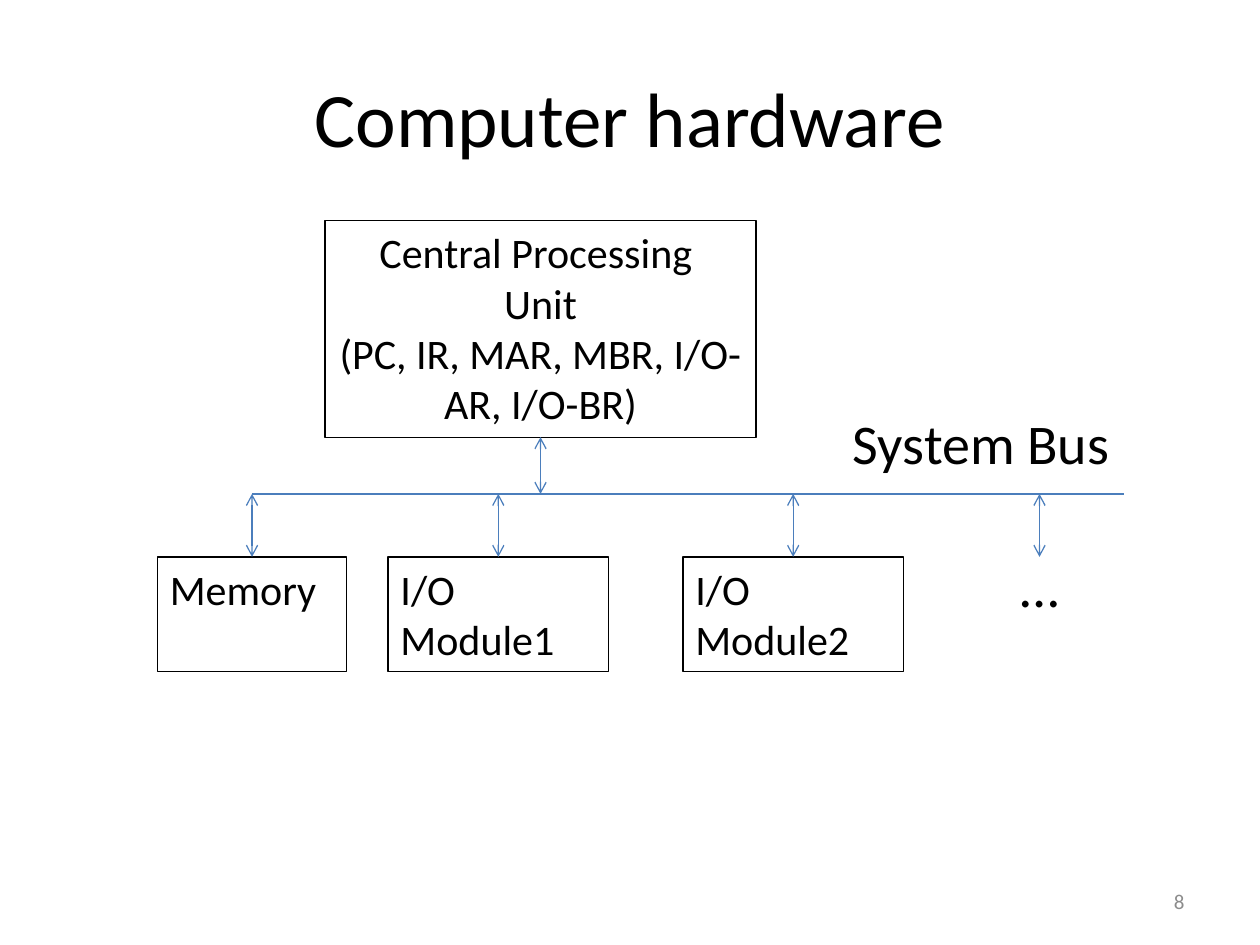
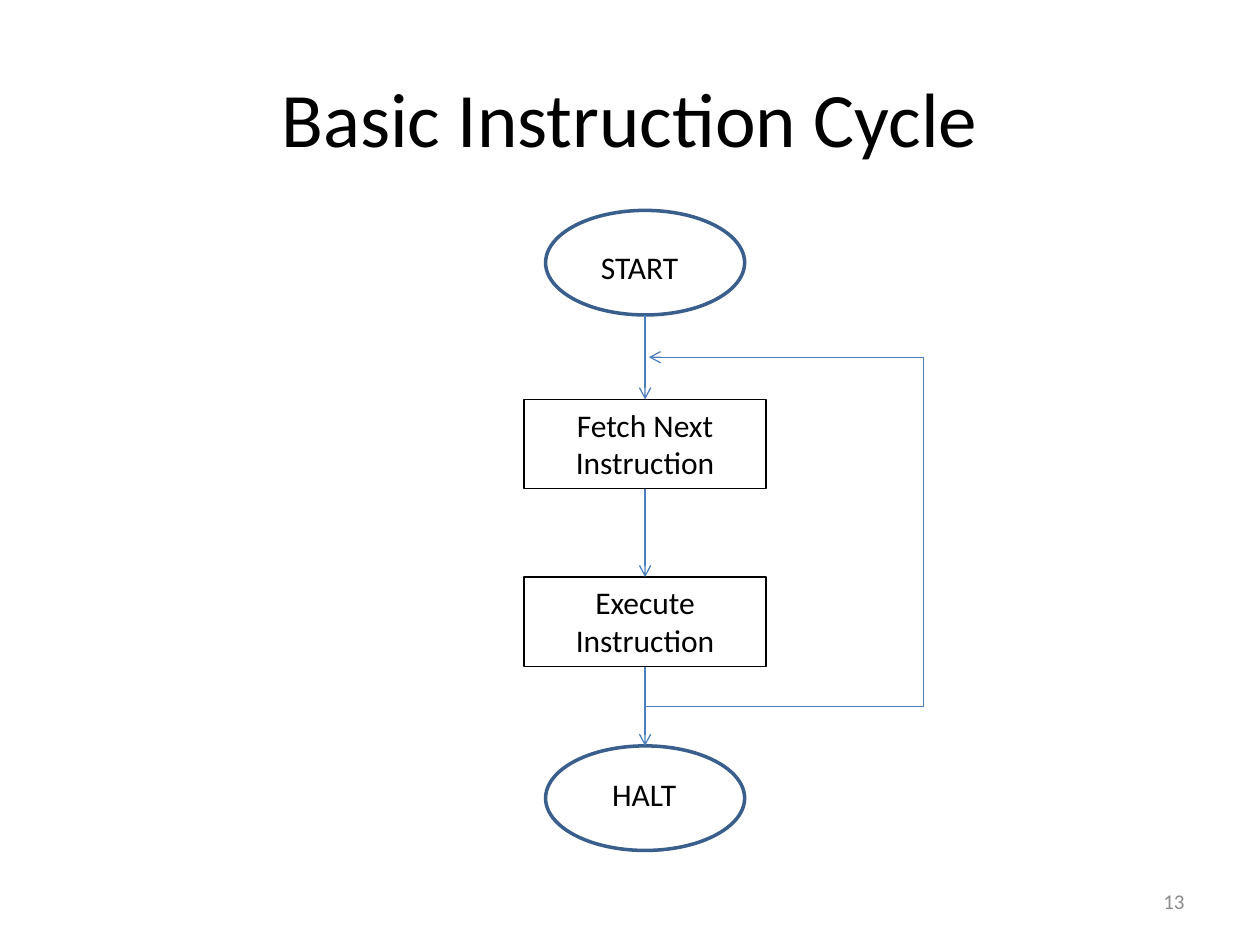
from lxml import etree
from pptx import Presentation
from pptx import util as u
from pptx.dml.color import RGBColor
from pptx.enum import shapes, text
from pptx.oxml.ns import qn

WIDTH, HEIGHT = 10, 7.5
FONT = "Calibri"
BLACK, WHITE, GREY = "000000", "FFFFFF", "8C8C8C"
ARROW_BLUE, OVAL_BLUE = "4B7EBC", "3A5F8C"
RECT, OVAL = shapes.MSO_SHAPE.RECTANGLE, shapes.MSO_SHAPE.OVAL
LEFT, CENTER, RIGHT = text.PP_ALIGN.LEFT, text.PP_ALIGN.CENTER, text.PP_ALIGN.RIGHT
TOP, MIDDLE = text.MSO_ANCHOR.TOP, text.MSO_ANCHOR.MIDDLE

# Computer hardware: left, width and lines of each module under the bus
CPU = ["Central Processing ", "Unit", "(PC, IR, MAR, MBR, I/O-AR, I/O-BR)"]
CPU_PLACE = (2.58, 1.75, 3.42, 1.72)
MODULES = [
    (1.25, 1.5, ["Memory"]),
    (3.08, 1.75, ["I/O", "Module1"]),
    (5.42, 1.75, ["I/O", "Module2"]),
]
BUS_Y, BUS_END, MODULE_TOP, MODULE_HEIGHT = 3.92, 8.92, 4.42, 0.91
MORE_X = 8.25

# Basic instruction cycle: shape, top, size, and the steps down one axis
AXIS, LOOP_X = 5.12, 7.33
OVAL_SIZE, STEP_SIZE = (1.58, 0.83), (1.92, 0.71)
STEPS = [
    (OVAL, 1.67, OVAL_SIZE, []),
    (RECT, 3.17, STEP_SIZE, ["Fetch Next Instruction"]),
    (RECT, 4.58, STEP_SIZE, ["Execute", "Instruction"]),
    (OVAL, 5.92, OVAL_SIZE, []),
]
OVAL_LABELS = [("START", 4.67, 1.92), ("HALT", 4.76, 6.1)]


def color(value):
    return RGBColor.from_string(value)


def write(box, lines, size=24, ink=BLACK, align=LEFT, anchor=TOP):
    frame = box.text_frame
    frame.word_wrap = True
    frame.vertical_anchor = anchor
    for number, line in enumerate(lines):
        para = frame.add_paragraph() if number else frame.paragraphs[0]
        para.alignment = align
        span = para.add_run()
        span.text = line
        span.font.name, span.font.size = FONT, u.Pt(size)
        span.font.color.rgb = color(ink)


def add_text(page, place, content, **style):
    write(page.shapes.add_textbox(*map(u.Inches, place)), [content], **style)


def add_box(page, kind, place, lines, **style):
    box = page.shapes.add_shape(kind, *map(u.Inches, place))
    box.shadow.inherit = False
    if kind == OVAL:
        box.fill.solid()
        box.fill.fore_color.rgb = color(WHITE)
    else:
        box.fill.background()
    box.line.color.rgb = color(OVAL_BLUE if kind == OVAL else BLACK)
    box.line.width = u.Pt(2 if kind == OVAL else 0.75)
    if lines:
        write(box, lines, **style)


def add_line(page, start, end, *arrow_ends):
    """Draw a line; arrow_ends names headEnd (start) and tailEnd (end), in that order."""
    line = page.shapes.add_connector(
        shapes.MSO_CONNECTOR.STRAIGHT, *map(u.Inches, (*start, *end)))
    line.line.color.rgb = color(ARROW_BLUE)
    line.line.width = u.Pt(0.75)
    properties = line._element.spPr
    for name in arrow_ends:
        etree.SubElement(properties.find(qn("a:ln")), qn("a:" + name), type="arrow")
    etree.SubElement(properties, qn("a:effectLst"))


def add_page(deck, title, number):
    page = deck.slides.add_slide(deck.slide_layouts[6])
    add_text(page, (0.5, 0.3, WIDTH - 1, 1.25), title,
             size=44, align=CENTER, anchor=MIDDLE)
    add_text(page, (7.17, 6.95, 2.33, 0.4), str(number),
             size=12, ink=GREY, align=RIGHT, anchor=MIDDLE)
    return page


def build_hardware(deck):
    page = add_page(deck, "Computer hardware", 8)
    add_box(page, RECT, CPU_PLACE, CPU, align=CENTER)
    drops = []
    for left, width, lines in MODULES:
        add_box(page, RECT, (left, MODULE_TOP, width, MODULE_HEIGHT), lines)
        drops.append(left + width / 2)
    add_text(page, (MORE_X - 0.25, 4.33, 0.75, 0.64), "…", size=32)
    add_text(page, (6.67, 3.19, 2.25, 0.64), "System Bus", size=32)

    add_line(page, (drops[0], BUS_Y), (BUS_END, BUS_Y))
    for x in drops + [MORE_X]:
        add_line(page, (x, BUS_Y), (x, MODULE_TOP), "headEnd", "tailEnd")
    left, top, width, height = CPU_PLACE
    middle = left + width / 2
    add_line(page, (middle, top + height), (middle, BUS_Y), "headEnd", "tailEnd")


def build_cycle(deck):
    page = add_page(deck, "Basic Instruction Cycle", 13)
    for kind, top, (width, height), lines in STEPS:
        add_box(page, kind, (AXIS - width / 2, top, width, height), lines,
                size=18, align=CENTER)
    for label, left, top in OVAL_LABELS:
        add_text(page, (left, top, 0.88, 0.4), label, size=18)

    gaps = [(step[1] + step[2][1], following[1])
            for step, following in zip(STEPS, STEPS[1:])]
    for start, end in gaps:
        add_line(page, (AXIS, start), (AXIS, end), "tailEnd")

    # The loop leaves halfway down the last gap and returns halfway down the first
    loop_top, loop_bottom = sum(gaps[0]) / 2, sum(gaps[-1]) / 2
    add_line(page, (AXIS, loop_bottom), (LOOP_X, loop_bottom))
    add_line(page, (LOOP_X, loop_bottom), (LOOP_X, loop_top))
    add_line(page, (LOOP_X, loop_top), (AXIS + 0.03, loop_top), "tailEnd")


def main():
    deck = Presentation()
    deck.slide_width, deck.slide_height = u.Inches(WIDTH), u.Inches(HEIGHT)
    build_hardware(deck)
    build_cycle(deck)
    deck.save("out.pptx")


if __name__ == "__main__":
    main()
